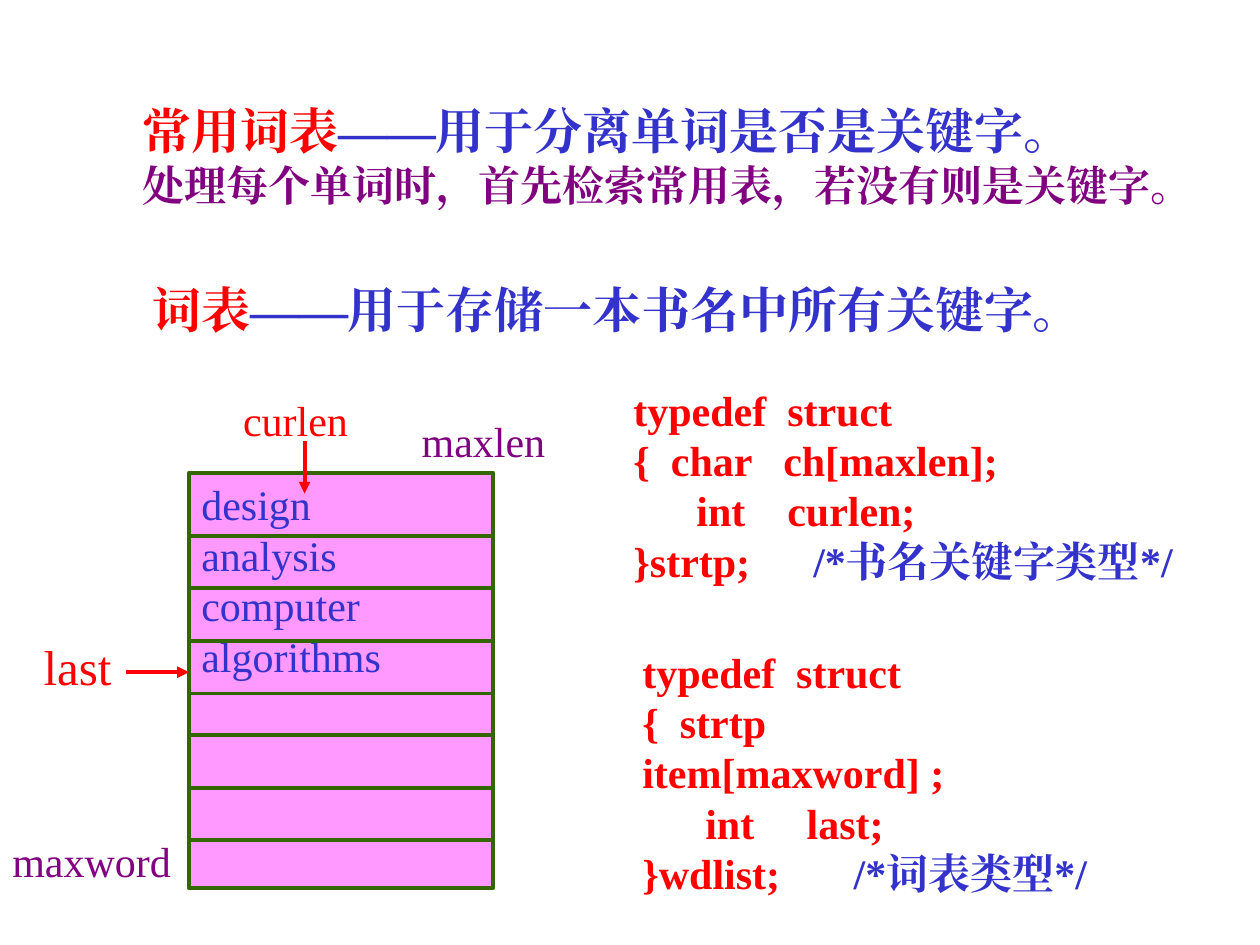
from itertools import accumulate

from lxml import etree
from pptx import Presentation
from pptx import util as u
from pptx.dml.color import RGBColor
from pptx.enum import shapes, text
from pptx.oxml import ns

FONT = "Times New Roman"
HUES = {
    "red": "FF0000",
    "blue": "3333CC",
    "plum": "800080",
    "pink": "FF99FF",
    "green": "336600",
}
ROWS = [1.27, 1.06, 1.06, 1.06, 0.84, 1.06, 1.06]


def hue(name):
    return RGBColor.from_string(HUES[name])


def fill_text(frame, paras, size, bold=False):
    """Each paragraph is a list of (words, colour) or (words, colour, size)."""
    for i, runs in enumerate(paras):
        para = frame.paragraphs[0] if i == 0 else frame.add_paragraph()
        para.alignment = text.PP_ALIGN.LEFT
        for words, tint, *own in runs:
            run = para.add_run()
            run.text = words
            font = run.font
            font.size = u.Pt(own[0] if own else size)
            font.bold = bold
            font.color.rgb = hue(tint)
            font.name = FONT
            east = etree.SubElement(run._r.get_or_add_rPr(), ns.qn("a:ea"))
            east.set("typeface", FONT)


def add_label(slide, box, paras, size, bold=False):
    frame = slide.shapes.add_textbox(*map(u.Cm, box)).text_frame
    frame.word_wrap = False
    fill_text(frame, paras, size, bold)


def add_line(slide, start, end, tint, arrow=False):
    line = slide.shapes.add_connector(
        shapes.MSO_CONNECTOR.STRAIGHT, *map(u.Cm, start + end))
    line.line.color.rgb = hue(tint)
    line.line.width = u.Pt(2.25)
    if arrow:
        etree.SubElement(line.line._get_or_add_ln(), ns.qn("a:tailEnd"),
                         type="triangle")
    etree.SubElement(line._element.spPr, ns.qn("a:effectLst"))


def add_intro(slide, x, y):
    add_label(slide, (x, y, 21.67, 2.46), [
        [("常用词表", "red"), ("——用于分离单词是否是关键字。", "blue")],
        [("处理每个单词时，首先检索常用表，若没有则是关键字。", "plum", 24)],
    ], 28, True)
    add_label(slide, (x + 0.2, y + 3.61, 19.25, 1.45), [
        [("词表", "red"), ("——用于存储一本书名中所有关键字。", "blue")],
    ], 28, True)


def add_list(slide, x, y, wide, high):
    """The word list, with its row rules, labels and pointers."""
    box = slide.shapes.add_shape(
        shapes.MSO_SHAPE.RECTANGLE, *map(u.Cm, (x, y, wide, high)))
    box.shadow.inherit = False
    box.fill.solid()
    box.fill.fore_color.rgb = hue("pink")
    box.line.color.rgb = hue("green")
    box.line.width = u.Pt(2.25)
    frame = box.text_frame
    frame.word_wrap = True
    frame.vertical_anchor = text.MSO_ANCHOR.TOP
    words = ["design", "analysis", "computer", "algorithms"]
    fill_text(frame, [[(word, "blue")] for word in words], 24)

    for drop in accumulate(ROWS):
        add_line(slide, (x, y + drop), (x + wide, y + drop), "green")

    labels = [
        ("curlen", "red", 24, (0.84, -1.7, 2.64, 1.27)),
        ("maxlen", "plum", 24, (4.44, -1.27, 3.0, 1.27)),
        ("last", "red", 28, (-3.18, 3.18, 1.88, 1.45)),
        ("maxword", "plum", 24, (-3.81, 7.19, 3.71, 1.27)),
    ]
    for word, tint, size, (dx, dy, w, h) in labels:
        add_label(slide, (x + dx, y + dy, w, h), [[(word, tint)]], size)
    add_line(slide, (x + 2.33, y - 0.64), (x + 2.33, y + 0.42), "red", True)
    add_line(slide, (x - 1.27, y + 4.02), (x, y + 4.02), "red", True)


def add_code(slide, box, lines, note):
    paras = [[(line, "red")] for line in lines]
    paras[-1].append((note, "blue"))
    add_label(slide, box, paras, 24, True)


def main():
    deck = Presentation()
    deck.slide_width, deck.slide_height = u.Cm(25.4), u.Cm(19.05)
    slide = deck.slides.add_slide(deck.slide_layouts[6])
    add_intro(slide, 2.62, 1.9)
    add_list(slide, 3.81, 9.53, 6.13, 8.38)
    add_code(slide, (12.52, 7.62, 11.79, 4.32), [
        "typedef  struct",
        "{  char   ch[maxlen];",
        "      int    curlen;",
        "}strtp;      ",
    ], "/*书名关键字类型*/")
    add_code(slide, (12.7, 12.9, 9.93, 4.32), [
        "typedef  struct",
        "{  strtp    item[maxword] ;",
        "      int     last;",
        "}wdlist;       ",
    ], "/*词表类型*/")
    deck.save("out.pptx")


if __name__ == "__main__":
    main()
